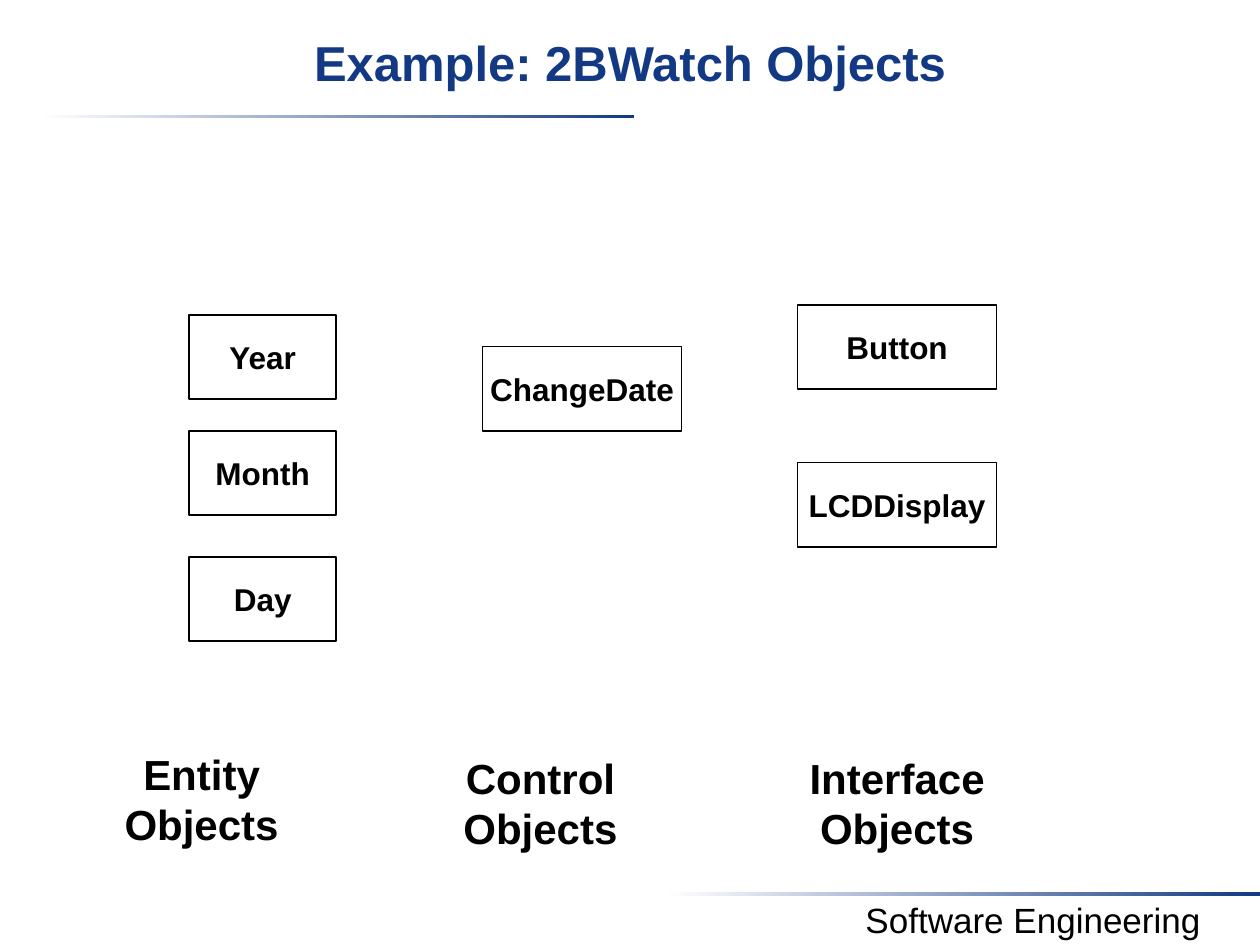
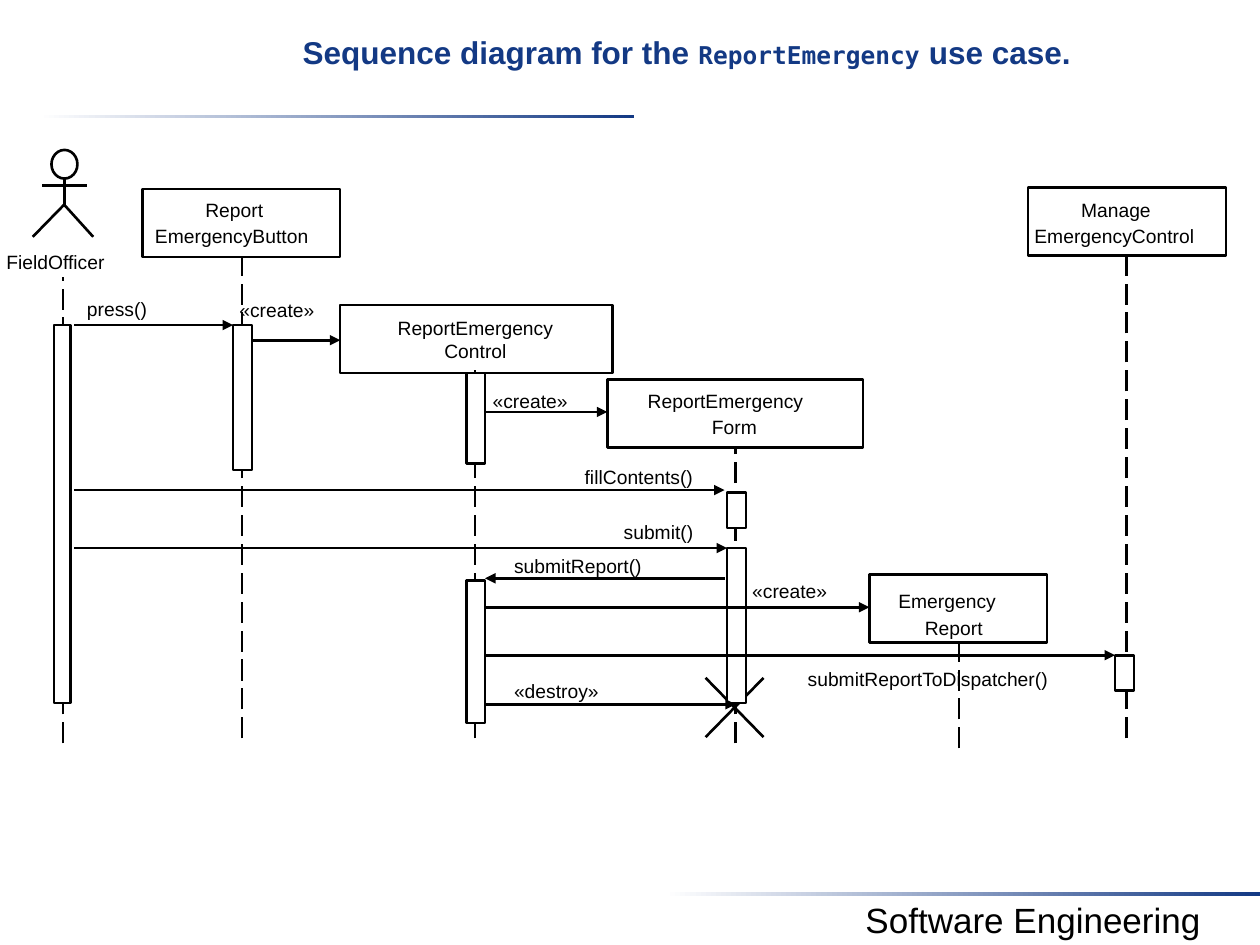
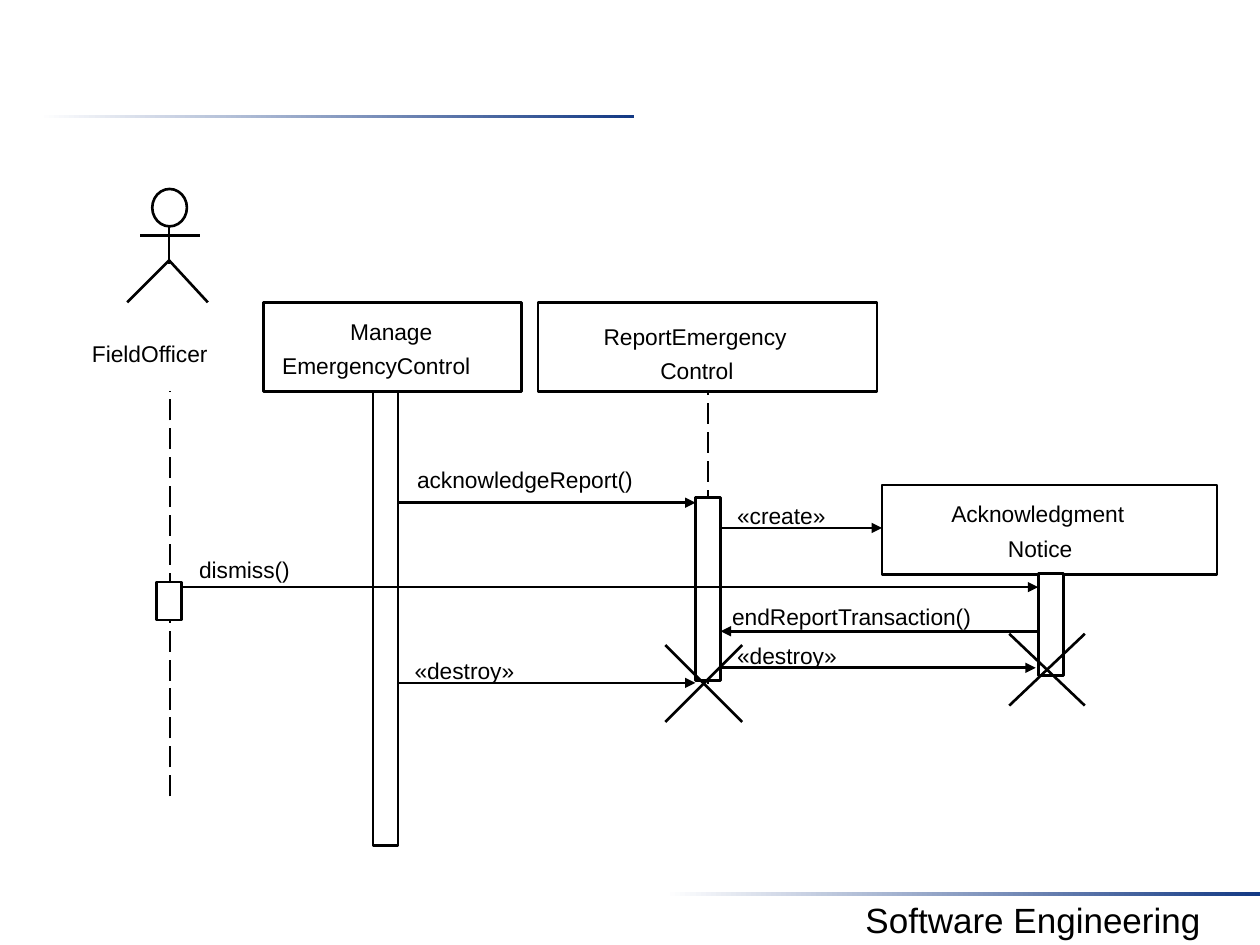
from pptx import Presentation
from pptx.dml.color import RGBColor
from pptx.enum.dml import MSO_LINE
from pptx.enum.shapes import MSO_CONNECTOR, MSO_SHAPE
from pptx.enum.text import MSO_ANCHOR, MSO_AUTO_SIZE, PP_ALIGN
from pptx.oxml.ns import qn
from pptx.util import Inches, Pt
from lxml.etree import SubElement

COLORS = {"navy": "133984", "black": "000000", "white": "FFFFFF"}
SANS, MONO = "Arial", "DejaVu Sans Mono"
SLIDE_WIDTH, SLIDE_HEIGHT = 10, 7.5
TITLE_ONLY, BLANK = 5, 6
STROKE = 1.5


def color(name):
    """Return a named colour of the palette."""
    return RGBColor.from_string(COLORS[name])


def inches(*lengths):
    """Convert lengths in inches."""
    return [Inches(length) for length in lengths]


def style_run(run, size, name="black", bold=False, font=SANS):
    """Format one run of text."""
    run.font.name, run.font.size, run.font.bold = font, Pt(size), bold
    run.font.color.rgb = color(name)


def set_text(shape, text, size, bold=False, align=PP_ALIGN.CENTER):
    """Fill a shape with evenly styled paragraphs."""
    shape.text_frame.text = text
    for paragraph in shape.text_frame.paragraphs:
        paragraph.alignment = align
        for run in paragraph.runs:
            style_run(run, size, bold=bold)


def add_text(slide, box, text, size, bold=False, align=PP_ALIGN.CENTER):
    """Add a wrapping text box."""
    shape = slide.shapes.add_textbox(*inches(*box))
    shape.text_frame.word_wrap = True
    set_text(shape, text, size, bold, align)
    return shape


def outline(shape, filled=False, width=STROKE):
    """Give a shape a black outline and an optional white fill."""
    shape.shadow.inherit = False
    if filled:
        shape.fill.solid()
        shape.fill.fore_color.rgb = color("white")
    else:
        shape.fill.background()
    shape.line.color.rgb = color("black")
    shape.line.width = Pt(width)


def add_box(slide, box, filled=False, width=STROKE, kind=MSO_SHAPE.RECTANGLE):
    """Add an outlined preset shape."""
    shape = slide.shapes.add_shape(kind, *inches(*box))
    outline(shape, filled, width)
    return shape


def add_line(slide, start, end, dashed=False, arrow=False):
    """Add a straight line, dashed or with an arrowhead if asked."""
    connector = slide.shapes.add_connector(MSO_CONNECTOR.STRAIGHT, *inches(*start, *end))
    connector.line.color.rgb = color("black")
    connector.line.width = Pt(STROKE)
    if dashed:
        connector.line.dash_style = MSO_LINE.LONG_DASH
    if arrow:
        SubElement(connector.line._get_or_add_ln(), qn("a:tailEnd"), type="triangle")
    SubElement(connector._element.spPr, qn("a:effectLst"))


def add_slide(presentation, layout):
    """Add a slide with the two gradient rules and the footer."""
    slide = presentation.slides.add_slide(presentation.slide_layouts[layout])
    for left, top in ((0.31, 0.91), (5.28, 7.08)):
        rule = slide.shapes.add_shape(MSO_SHAPE.RECTANGLE, *inches(left, top, 4.72, 0.03))
        rule.shadow.inherit = False
        rule.line.fill.background()
        rule.fill.gradient()
        rule.fill.gradient_angle = 0
        for stop, name, position in zip(rule.fill.gradient_stops, ("white", "navy"), (0, 1)):
            stop.color.rgb = color(name)
            stop.position = position
    add_text(slide, (6.4, 7.08, 3.6, 0.42), "Software Engineering", 20)
    return slide


def add_title(slide, left, parts):
    """Place the title from the given left edge to the right edge of the slide."""
    title = slide.shapes.title
    title.left, title.top, title.width, title.height = inches(left, 0.2, SLIDE_WIDTH - left, 0.75)
    frame = title.text_frame
    frame.auto_size = MSO_AUTO_SIZE.NONE
    frame.vertical_anchor = MSO_ANCHOR.TOP
    frame.margin_top = Inches(0.06)
    paragraph = frame.paragraphs[0]
    paragraph.alignment = PP_ALIGN.CENTER
    for text, size, font in parts:
        run = paragraph.add_run()
        run.text = text
        style_run(run, size, "navy", True, font)


def add_label(slide, left, top, text, size, align=PP_ALIGN.LEFT):
    """Add a label without margins, one letter wider than its longest line."""
    lines = text.split("\n")
    width = (max(map(len, lines)) + 1) * size / 120
    height = len(lines) * size / 60
    frame = add_text(slide, (left, top, width, height), text, size, align=align).text_frame
    frame.margin_left = frame.margin_right = frame.margin_top = frame.margin_bottom = 0


def add_actor(slide, left, top, width, height):
    """Draw a stick figure that fills the given box."""
    def point(across, down):
        return left + across * width, top + down * height

    add_box(slide, (*point(0.31, 0), 0.43 * width, 0.33 * height), kind=MSO_SHAPE.OVAL)
    add_line(slide, point(0.52, 0.33), point(0.52, 0.66))
    add_line(slide, point(0.16, 0.41), point(0.9, 0.41))
    builder = slide.shapes.build_freeform(*inches(*point(0, 1)))
    builder.add_line_segments([inches(*point(0.52, 0.63)), inches(*point(1, 1))], close=False)
    outline(builder.convert_to_shape())


def add_participant(slide, box, lines, first_line, pitch, size):
    """Draw a participant box with name lines set in from its left edge."""
    add_box(slide, box)
    for row, (indent, text) in enumerate(lines):
        add_label(slide, box[0] + indent, box[1] + first_line + row * pitch, text, size)


def add_lifelines(slide, lifelines):
    """Draw dashed vertical lines from (x, top, bottom)."""
    for x, top, bottom in lifelines:
        add_line(slide, (x, bottom), (x, top), dashed=True)


def add_activations(slide, width, activations):
    """Draw activation bars from (left, top, height)."""
    for left, top, height in activations:
        add_box(slide, (left, top, width, height), filled=True)


def add_cross(slide, left, top, width, height):
    """Draw the two diagonals of a box to mark the end of a lifeline."""
    right, bottom = left + width, top + height
    add_line(slide, (left, bottom), (right, top))
    add_line(slide, (right, bottom), (left, top))


def add_messages(slide, size, messages):
    """Draw arrows with labels from (start, end, y, label left, label top, text)."""
    for start, end, y, left, top, text in messages:
        add_line(slide, (start, y), (end, y), arrow=True)
        add_label(slide, left, top, text, size)


def build_objects(presentation):
    """Build the slide of entity, control and interface objects."""
    slide = add_slide(presentation, TITLE_ONLY)
    add_title(slide, 0, [("Example: 2BWatch Objects", 28, SANS)])
    columns = [
        (1.5, 1.17, [(2.5, "Year"), (3.42, "Month"), (4.42, "Day")], 1.6, 5.89, "Entity Objects"),
        (3.83, 1.58, [(2.75, "ChangeDate")], 4.29, 5.92, "Control Objects"),
        (6.33, 1.58, [(2.42, "Button"), (3.67, "LCDDisplay")], 7.12, 5.92, "Interface Objects"),
    ]
    caption_width = 1.7
    for left, width, objects, center, caption_top, caption in columns:
        for top, name in objects:
            shape = add_box(slide, (left, top, width, 0.67), True, 1)
            shape.text_frame.word_wrap = False
            shape.text_frame.vertical_anchor = MSO_ANCHOR.MIDDLE
            set_text(shape, name, 18, True)
        caption_box = (center - caption_width / 2, caption_top, caption_width, 0.87)
        add_text(slide, caption_box, caption, 24, True)


def build_report(presentation):
    """Build the sequence diagram of reporting an emergency."""
    slide = add_slide(presentation, TITLE_ONLY)
    add_title(slide, 0.9, [("Sequence diagram for the ", 18, SANS),
                           ("ReportEmergency", 14, MONO), (" use case.", 18, SANS)])
    size, pitch, height = 11, 0.21, 0.54
    add_actor(slide, 0.26, 1.19, 0.48, 0.69)
    add_label(slide, 0.05, 1.99, "FieldOfficer", size)
    participants = [
        (1.13, 1.5, 1.57, 0.07, [(0.5, "Report"), (0.1, "EmergencyButton")]),
        (4.82, 3.01, 2.03, 0.08, [(0.32, "ReportEmergency"), (0.83, "Form")]),
        (6.9, 4.56, 1.41, 0.12, [(0.23, "Emergency"), (0.44, "Report")]),
        (8.16, 1.49, 1.57, 0.08, [(0.42, "Manage"), (0.05, "EmergencyControl")]),
    ]
    for left, top, width, first_line, lines in participants:
        add_participant(slide, (left, top, width, height), lines, first_line, pitch, size)
    add_box(slide, (2.7, 2.42, 2.16, height))
    add_label(slide, 3.04, 2.51, "ReportEmergency\nControl", size, PP_ALIGN.CENTER)
    add_cross(slide, 5.6, 5.38, 0.46, 0.47)
    add_lifelines(slide, [(1.92, 2.03, 5.86), (0.5, 2.2, 5.9), (3.77, 2.94, 5.86),
                          (8.94, 2.02, 5.86), (7.61, 5.1, 5.94), (5.84, 3.54, 5.9)])
    add_activations(slide, 0.13, [(0.43, 2.58, 3)])
    add_activations(slide, 0.15, [(1.85, 2.58, 1.15), (3.7, 2.96, 0.72), (3.7, 4.61, 1.13),
                                  (5.77, 3.91, 0.28), (5.77, 4.35, 1.23), (8.85, 5.2, 0.28)])
    add_messages(slide, size, [
        (0.59, 1.85, 2.58, 0.69, 2.36, "press()"),
        (2, 2.7, 2.7, 1.9, 2.37, "«create»"),
        (3.85, 4.82, 3.27, 3.91, 3.09, "«create»"),
        (0.59, 5.75, 3.89, 4.64, 3.69, "fillContents()"),
        (0.59, 5.77, 4.35, 4.95, 4.13, "submit()"),
        (5.75, 3.85, 4.59, 4.08, 4.4, "submitReport()"),
        (3.85, 6.9, 4.82, 5.97, 4.6, "«create»"),
        (3.85, 8.85, 5.2, 6.41, 5.3, "submitReportToDispatcher()"),
        (3.85, 5.84, 5.59, 4.08, 5.39, "«destroy»"),
    ])


def build_acknowledgment(presentation):
    """Build the sequence diagram of acknowledging a report."""
    slide = add_slide(presentation, BLANK)
    size, pitch, height = 13, 0.27, 0.71
    add_lifelines(slide, [(1.35, 3.1, 6.32), (5.62, 3.1, 5.43)])
    add_actor(slide, 1.01, 1.5, 0.64, 0.9)
    add_label(slide, 0.73, 2.7, "FieldOfficer", size)
    participants = [
        (4.27, 2.4, 2.69, 0.16, [(0.52, "ReportEmergency"), (0.97, "Control")]),
        (7, 3.85, 2.66, 0.12, [(0.55, "Acknowledgment"), (1, "Notice")]),
        (2.09, 2.4, 2.05, 0.12, [(0.69, "Manage"), (0.15, "EmergencyControl")]),
    ]
    for left, top, width, first_line, lines in participants:
        add_participant(slide, (left, top, width, height), lines, first_line, pitch, size)
    add_activations(slide, 0.2, [(1.24, 4.62, 0.3), (5.52, 3.95, 1.45),
                                 (8.24, 4.55, 0.81), (2.96, 3.11, 3.6)])
    add_cross(slide, 5.28, 5.12, 0.61, 0.61)
    add_cross(slide, 8.01, 5.03, 0.6, 0.57)
    add_messages(slide, size, [
        (5.72, 7, 4.19, 5.85, 3.98, "«create»"),
        (3.16, 5.52, 3.99, 3.31, 3.7, "acknowledgeReport()"),
        (1.44, 8.24, 4.66, 1.58, 4.41, "dismiss()"),
        (8.24, 5.72, 5.01, 5.81, 4.78, "endReportTransaction()"),
        (5.72, 8.22, 5.3, 5.85, 5.09, "«destroy»"),
        (3.16, 5.52, 5.42, 3.29, 5.21, "«destroy»"),
    ])


def main():
    """Build and save the presentation."""
    presentation = Presentation()
    presentation.slide_width, presentation.slide_height = inches(SLIDE_WIDTH, SLIDE_HEIGHT)
    build_objects(presentation)
    build_report(presentation)
    build_acknowledgment(presentation)
    presentation.save("out.pptx")


if __name__ == "__main__":
    main()
